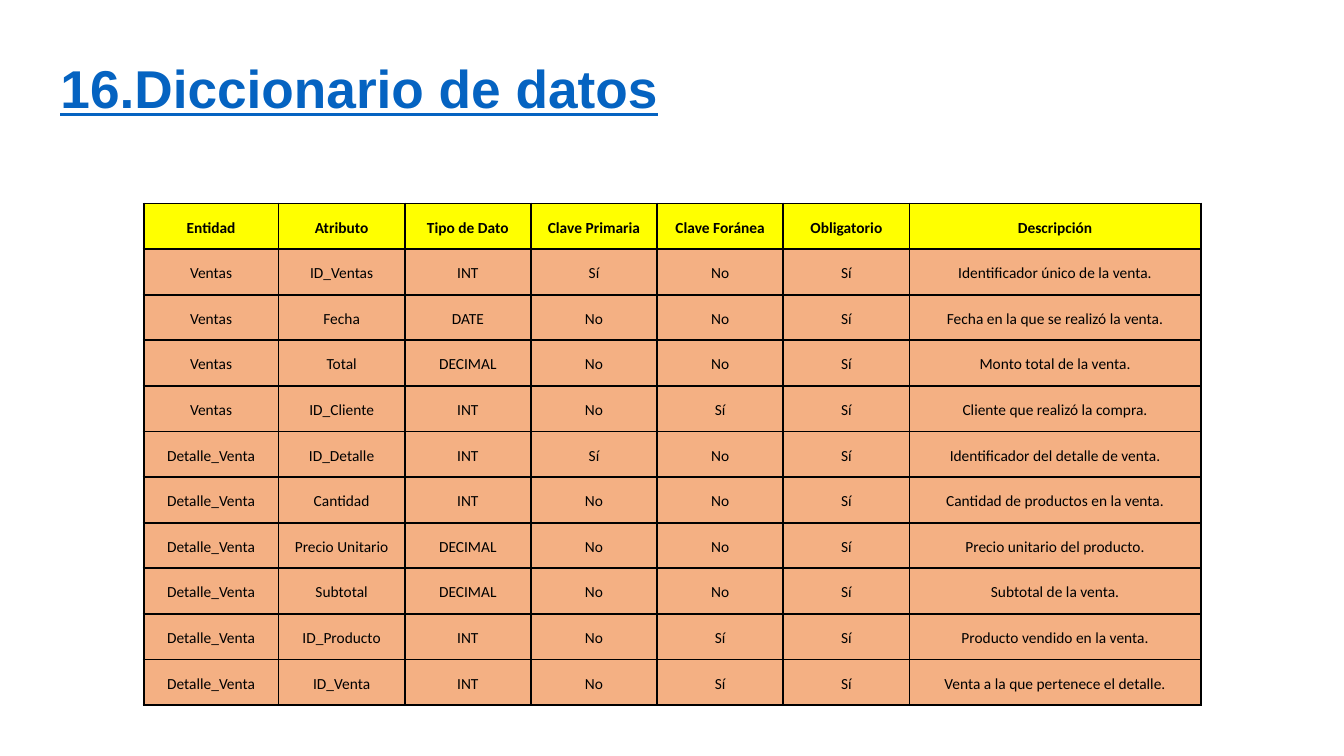
from pptx import Presentation
from pptx.dml.color import RGBColor
from pptx.enum.text import MSO_ANCHOR as Anchor, PP_ALIGN as Align
from pptx.oxml import parse_xml
from pptx.oxml.ns import nsdecls
from pptx.util import Cm, Pt

HEADERS = ["Entidad", "Atributo", "Tipo de Dato", "Clave Primaria",
           "Clave Foránea", "Obligatorio", "Descripción"]
FIELDS = [
    ["Ventas", "ID_Ventas", "INT", "Sí", "No", "Sí", "Identificador único de la venta."],
    ["Ventas", "Fecha", "DATE", "No", "No", "Sí", "Fecha en la que se realizó la venta."],
    ["Ventas", "Total", "DECIMAL", "No", "No", "Sí", "Monto total de la venta."],
    ["Ventas", "ID_Cliente", "INT", "No", "Sí", "Sí", "Cliente que realizó la compra."],
    ["Detalle_Venta", "ID_Detalle", "INT", "Sí", "No", "Sí", "Identificador del detalle de venta."],
    ["Detalle_Venta", "Cantidad", "INT", "No", "No", "Sí", "Cantidad de productos en la venta."],
    ["Detalle_Venta", "Precio Unitario", "DECIMAL", "No", "No", "Sí", "Precio unitario del producto."],
    ["Detalle_Venta", "Subtotal", "DECIMAL", "No", "No", "Sí", "Subtotal de la venta."],
    ["Detalle_Venta", "ID_Producto", "INT", "No", "Sí", "Sí", "Producto vendido en la venta."],
    ["Detalle_Venta", "ID_Venta", "INT", "No", "Sí", "Sí", "Venta a la que pertenece el detalle."],
]
COL_WIDTHS = [3.4] + [3.18] * 5 + [7.34]
ROW_HEIGHT = 1.15


def rgb(value):
    return RGBColor.from_string(value)


class SlideBuilder:
    """Holds the style and the current slide, and adds elements to it."""

    title_font, body_font = "Arial", "Calibri"
    link, ink, header_fill, body_fill = "0563C1", "000000", "FFFF00", "F4B083"

    def __init__(self, prs):
        self.s = prs.slides.add_slide(prs.slide_layouts[5])

    def set_font(self, p, name, size, color, bold):
        p.font.name, p.font.size, p.font.bold = name, Pt(size), bold
        p.font.color.rgb = rgb(color)

    def title(self, text, left, top, width, height):
        sp = self.s.shapes.title
        sp.left, sp.top, sp.width, sp.height = map(Cm, (left, top, width, height))
        tf = sp.text_frame
        tf.text = text
        tf.word_wrap = True
        tf.vertical_anchor = Anchor.MIDDLE
        p = tf.paragraphs[0]
        p.alignment = Align.LEFT
        p.line_spacing = 1.07
        self.set_font(p, self.title_font, 38, self.link, True)
        p.font.underline = True

    def borders(self, cell, width=1.5):
        tc_pr = cell._tc.get_or_add_tcPr()
        for side in "LRTB":
            tc_pr.append(parse_xml(
                f'<a:ln{side} {nsdecls("a")} w="{Pt(width)}"><a:solidFill>'
                f'<a:srgbClr val="{self.ink}"/></a:solidFill></a:ln{side}>'))

    def cell(self, cell, text, header):
        self.borders(cell)
        cell.fill.solid()
        cell.fill.fore_color.rgb = rgb(self.header_fill if header else self.body_fill)
        cell.margin_left = cell.margin_right = Cm(0.08)
        cell.margin_top = cell.margin_bottom = Cm(0.25)
        cell.vertical_anchor = Anchor.MIDDLE
        cell.text = text
        p = cell.text_frame.paragraphs[0]
        p.alignment = Align.CENTER
        p.line_spacing = 1.15
        self.set_font(p, self.body_font, 11, self.ink, header)

    def table(self, rows, left, top, col_widths, row_height):
        table = self.s.shapes.add_table(
            len(rows), len(col_widths), Cm(left), Cm(top),
            Cm(sum(col_widths)), Cm(row_height * len(rows))).table
        for column, width in zip(table.columns, col_widths):
            column.width = Cm(width)
        for i, values in enumerate(rows):
            table.rows[i].height = Cm(row_height)
            for j, text in enumerate(values):
                self.cell(table.cell(i, j), text, header=i == 0)


def main():
    prs = Presentation()
    prs.slide_width, prs.slide_height = Cm(33.87), Cm(19.05)
    slide = SlideBuilder(prs)
    slide.title("16.Diccionario de datos", 1.27, 0.3, 29.21, 3.68)
    slide.table([HEADERS] + FIELDS, 3.62, 5.13, COL_WIDTHS, ROW_HEIGHT)
    prs.save("out.pptx")


if __name__ == "__main__":
    main()
